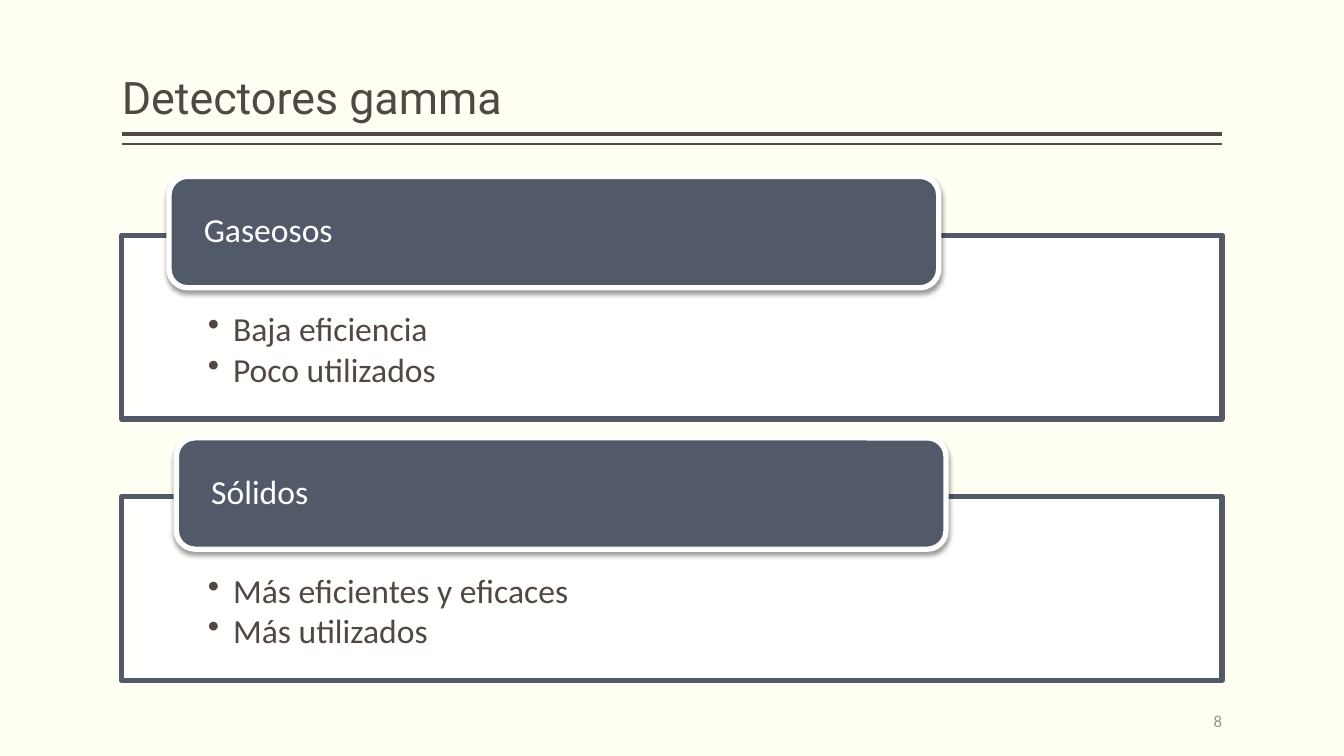
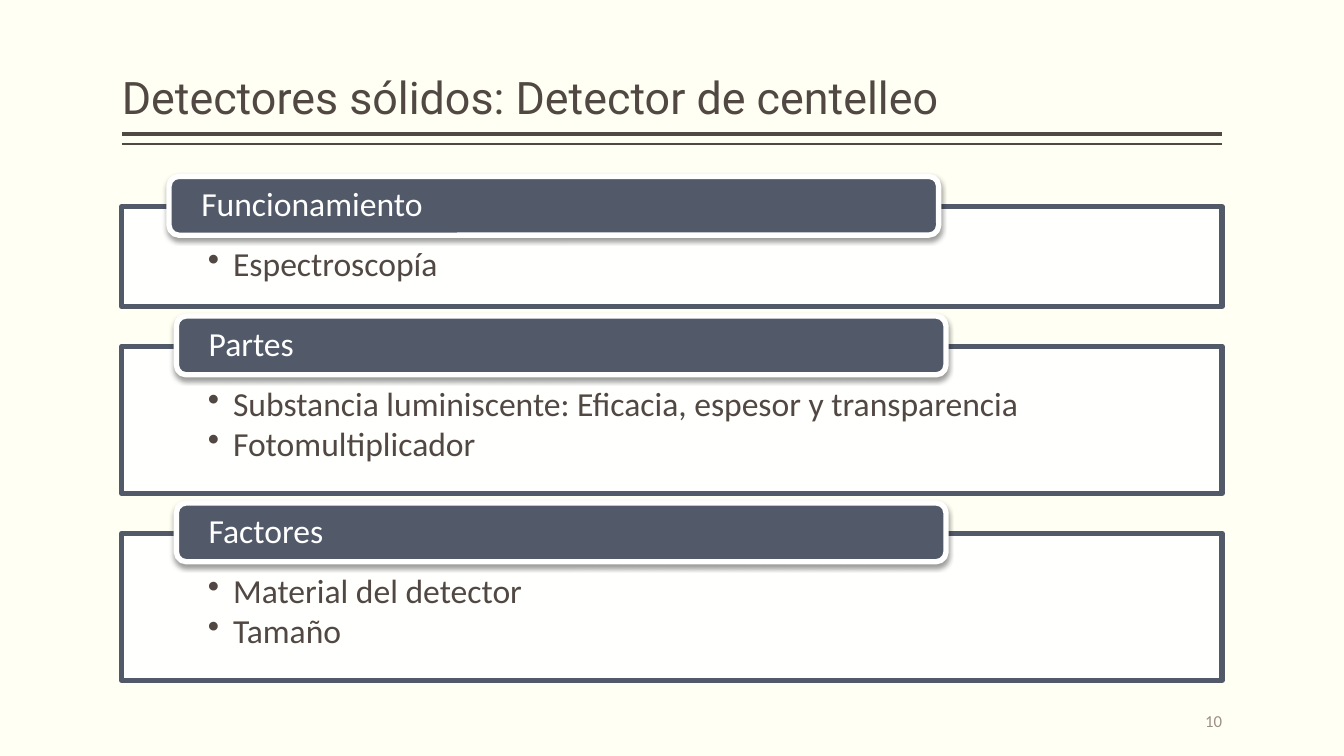
from lxml import etree
from pptx import Presentation
from pptx.dml.color import RGBColor
from pptx.enum.shapes import MSO_CONNECTOR, MSO_SHAPE
from pptx.enum.text import MSO_ANCHOR as Anchor, PP_ALIGN as Align
from pptx.oxml import parse_xml
from pptx.oxml.ns import nsdecls, qn
from pptx.util import Emu, Pt

CREAM = RGBColor(0xFF, 0xFF, 0xF3)
WHITE = RGBColor(0xFF, 0xFF, 0xFF)
BROWN = RGBColor(0x51, 0x48, 0x43)
SLATE = RGBColor(0x52, 0x5A, 0x6A)
TAUPE = RGBColor(0x9D, 0x8F, 0x88)

TITLE_FONT = "Roboto"
BODY_FONT = "Calibri"

EMU_PER_PX = 9525
LEFT, WIDTH = 116, 1048
RIGHT = LEFT + WIDTH
FIRST_TOP = 168
HEADER_WIDTH = 733
BULLET_INDENT = 24
BULLET_HEIGHT = 45
PANEL_PADDING = 11


def px(length):
    return Emu(length * EMU_PER_PX)


def set_frame(shape, anchor, insets):
    """Set the anchor and the left, top, right and bottom insets."""
    frame = shape.text_frame
    frame.word_wrap = True
    frame.vertical_anchor = anchor
    (frame.margin_left, frame.margin_top,
     frame.margin_right, frame.margin_bottom) = map(px, insets)
    return frame


def style_paragraph(paragraph, text, size, color, font=BODY_FONT,
                    align=Align.LEFT, spacing=0.9):
    paragraph.text = text
    paragraph.alignment = align
    paragraph.line_spacing = spacing
    paragraph.font.name = font
    paragraph.font.size = Pt(size)
    paragraph.font.color.rgb = color


def add_bullet(paragraph):
    properties = paragraph._p.get_or_add_pPr()
    indent = px(BULLET_INDENT)
    properties.set("marL", str(indent))
    properties.set("indent", str(-indent))
    properties.append(parse_xml(f'<a:buChar {nsdecls("a")} char="•"/>'))


def add_text(slide, box, text, anchor, **style):
    shape = slide.shapes.add_textbox(*map(px, box))
    frame = set_frame(shape, anchor, (0, 5, 0, 5))
    style_paragraph(frame.paragraphs[0], text, **style)


def add_rule(slide, top, weight):
    rule = slide.shapes.add_connector(
        MSO_CONNECTOR.STRAIGHT, px(LEFT), px(top), px(RIGHT), px(top))
    rule.line.color.rgb = BROWN
    rule.line.width = Pt(weight)
    etree.SubElement(rule._element.spPr, qn("a:effectLst"))


def add_block(slide, kind, box, fill, line):
    shape = slide.shapes.add_shape(kind, *map(px, box))
    shape.shadow.inherit = False
    shape.fill.solid()
    shape.fill.fore_color.rgb = fill
    shape.line.color.rgb = line
    shape.line.width = Pt(3.8)
    return shape


def add_panel(slide, top, height, text_top, bullets):
    panel = add_block(slide, MSO_SHAPE.RECTANGLE,
                      (LEFT, top, WIDTH, height), WHITE, SLATE)
    color = panel._element.spPr.find(qn("a:solidFill"))[0]
    etree.SubElement(color, qn("a:alpha"), val="90000")
    frame = set_frame(panel, Anchor.TOP, (82, text_top, 82, 18))
    for index, text in enumerate(bullets):
        paragraph = frame.add_paragraph() if index else frame.paragraphs[0]
        style_paragraph(paragraph, text, 24, BROWN)
        paragraph.space_after = Pt(3)
        add_bullet(paragraph)


def add_header(slide, left, top, height, text):
    header = add_block(slide, MSO_SHAPE.ROUNDED_RECTANGLE,
                       (left, top, HEADER_WIDTH, height), SLATE, WHITE)
    header._element.spPr.find(qn("a:effectLst")).append(parse_xml(
        f'<a:outerShdw {nsdecls("a")} blurRad="{Pt(3.5)}" dist="{Pt(2)}"'
        ' dir="5400000" rotWithShape="0"><a:srgbClr val="000000">'
        '<a:alpha val="38000"/></a:srgbClr></a:outerShdw>'))
    frame = set_frame(header, Anchor.MIDDLE, (28, 0, 28, 0))
    style_paragraph(frame.paragraphs[0], text, 24, WHITE)


def add_sections(slide, sections, header_height, overhang, text_top, gap):
    """Stack panels whose headers rise above them by the overhang."""
    top = FIRST_TOP
    for index, (heading, bullets) in enumerate(sections):
        height = text_top + PANEL_PADDING + BULLET_HEIGHT * len(bullets)
        add_panel(slide, top + overhang, height, text_top, bullets)
        add_header(slide, 168 if index else 161, top, header_height, heading)
        top += overhang + height + gap


def add_slide(presentation, title, number):
    slide = presentation.slides.add_slide(presentation.slide_layouts[6])
    add_rule(slide, 128, 3)
    add_rule(slide, 137, 1)
    add_text(slide, (LEFT, 8, WIDTH, 115), title, Anchor.BOTTOM,
             size=32, color=BROWN, font=TITLE_FONT)
    add_text(slide, (RIGHT - 192, 667, 192, 38), str(number), Anchor.MIDDLE,
             size=12, color=TAUPE, align=Align.RIGHT, spacing=1.0)
    return slide


def main():
    presentation = Presentation()
    presentation.slide_width = px(1280)
    presentation.slide_height = px(720)
    background = presentation.slide_master.background.fill
    background.solid()
    background.fore_color.rgb = CREAM

    slide = add_slide(presentation, "Detectores gamma", 8)
    add_sections(slide, [
        ("Gaseosos", ["Baja eficiencia", "Poco utilizados"]),
        ("Sólidos", ["Más eficientes y eficaces", "Más utilizados"]),
    ], header_height=106, overhang=56, text_top=74, gap=18)

    slide = add_slide(
        presentation, "Detectores sólidos: Detector de centelleo", 10)
    add_sections(slide, [
        ("Funcionamiento", ["Espectroscopía"]),
        ("Partes", [
            "Substancia luminiscente: Eficacia, espesor y transparencia",
            "Fotomultiplicador"]),
        ("Factores", ["Material del detector", "Tamaño"]),
    ], header_height=56, overhang=29, text_top=39, gap=9)

    presentation.save("out.pptx")


if __name__ == "__main__":
    main()
